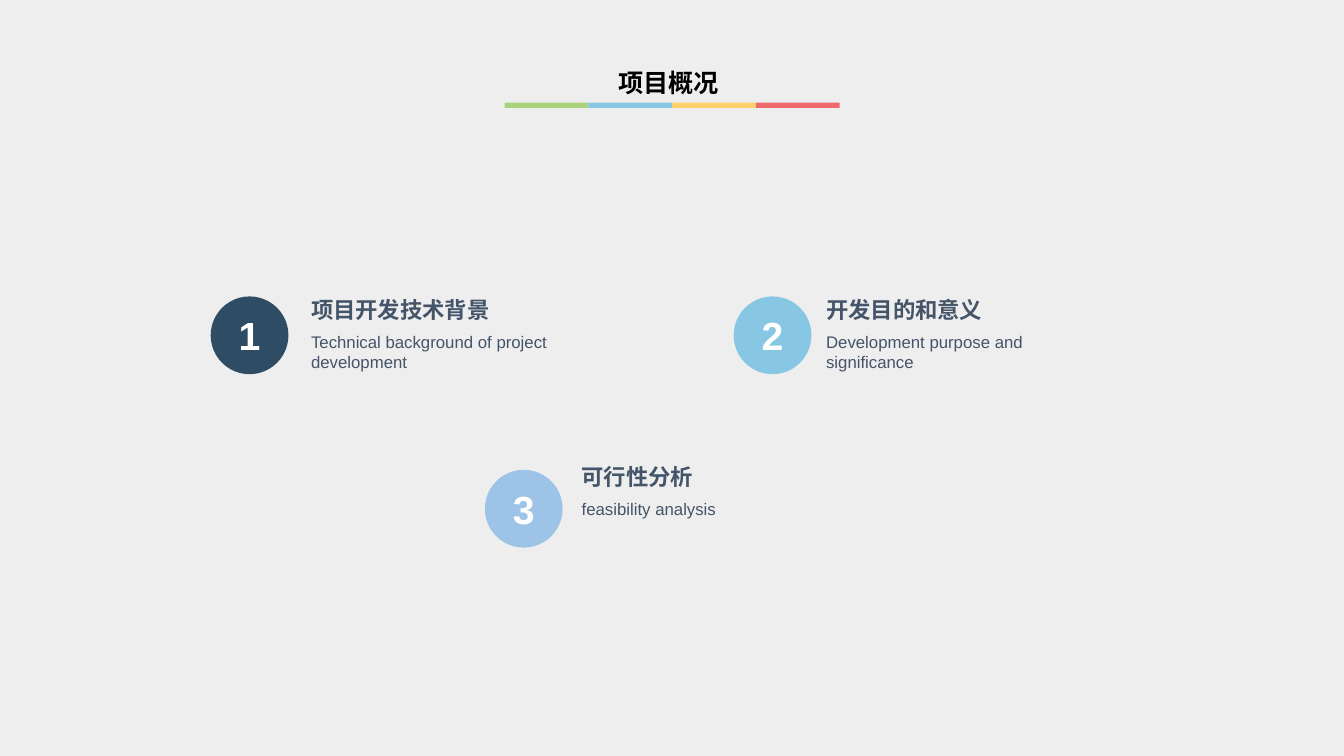
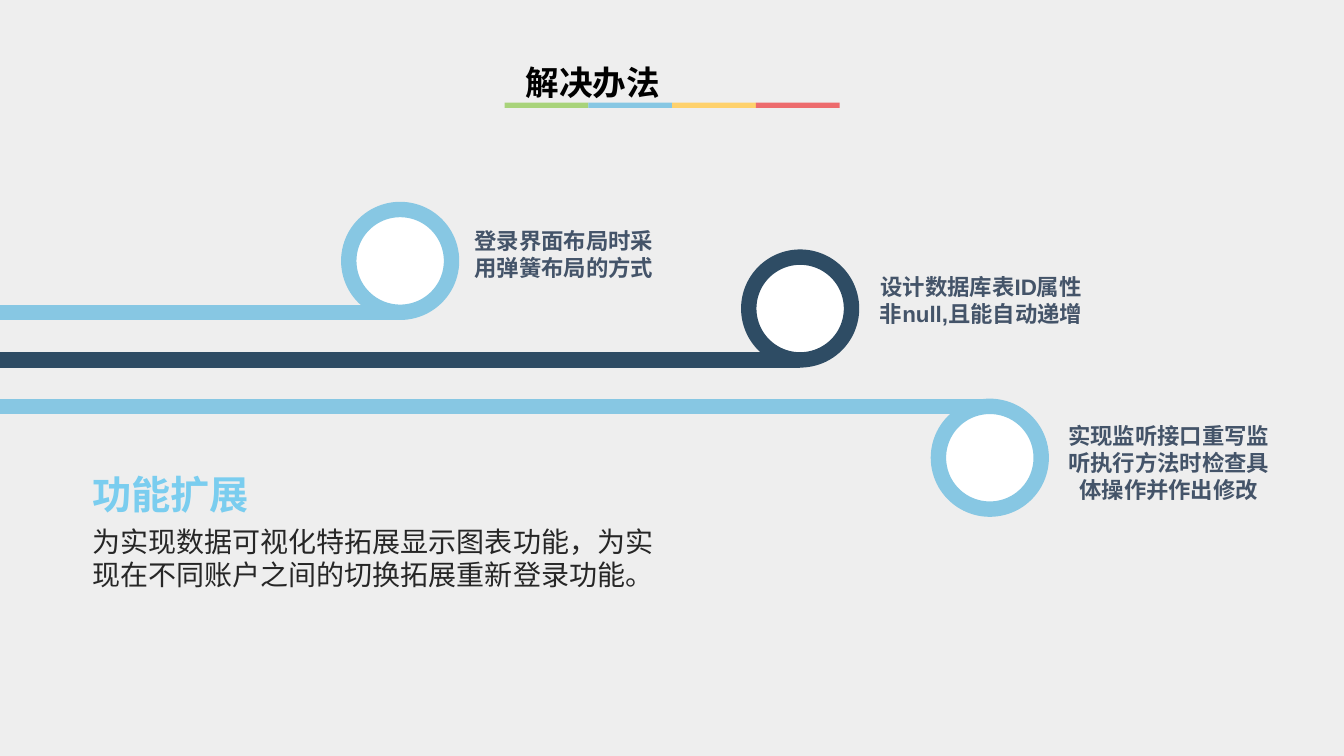
from dataclasses import dataclass

from lxml.etree import SubElement
from pptx import Presentation
from pptx.dml.color import RGBColor
from pptx.enum.shapes import MSO_CONNECTOR, MSO_SHAPE
from pptx.enum.text import MSO_ANCHOR, MSO_AUTO_SIZE, PP_ALIGN
from pptx.oxml.ns import qn
from pptx.util import Cm, Pt


@dataclass(frozen=True)
class Theme:
    background: str = "EEEEEE"
    black: str = "000000"
    white: str = "FFFFFF"
    slate: str = "445469"
    charcoal: str = "262626"
    navy: str = "2E4C64"
    sky: str = "87C7E3"
    pale_blue: str = "9DC3E6"
    bright_blue: str = "7ACDEF"
    bands: tuple = ("A8D37A", "87C7E3", "FED16C", "ED6B6D")
    latin: str = "Arial"
    title_latin: str = "Calibri"
    chinese: str = "Noto Sans CJK SC"
    caption: int = 12
    label: int = 16
    title: int = 18
    body: int = 20
    large_title: int = 24
    number: int = 28
    ring_line: int = 11


THEME = Theme()
NO_INSETS = (0, 0)
TITLE_INSETS = (0.25, 0.13)
WIDE_INSETS = (0.33, 0.18)


def color(value):
    return RGBColor.from_string(value)


def write_text(shape, text, size, text_color, bold=False, font=THEME.latin,
               align=PP_ALIGN.LEFT, anchor=MSO_ANCHOR.TOP, insets=NO_INSETS):
    frame = shape.text_frame
    across, down = map(Cm, insets)
    frame_format = {
        "word_wrap": True, "auto_size": MSO_AUTO_SIZE.NONE,
        "vertical_anchor": anchor, "margin_left": across,
        "margin_right": across, "margin_top": down, "margin_bottom": down,
    }
    for name, value in frame_format.items():
        setattr(frame, name, value)
    paragraph = frame.paragraphs[0]
    paragraph.alignment = align
    run = paragraph.add_run()
    run.text = text
    for name, value in {"name": font, "size": Pt(size), "bold": bold}.items():
        setattr(run.font, name, value)
    run.font.color.rgb = color(text_color)
    properties = run._r.get_or_add_rPr()
    SubElement(properties, qn("a:ea"), typeface=THEME.chinese)


def add_text(slide, box, text, size, text_color, **text_format):
    shape = slide.shapes.add_textbox(*map(Cm, box))
    write_text(shape, text, size, text_color, **text_format)


def add_filled(slide, preset, box, fill):
    shape = slide.shapes.add_shape(preset, *map(Cm, box))
    shape.shadow.inherit = False
    shape.fill.solid()
    shape.fill.fore_color.rgb = color(fill)
    shape.line.fill.background()
    return shape


def add_titled_slide(presentation, title, box, size, font, align):
    """Add a slide with its title over the four-colour band."""
    slide = presentation.slides.add_slide(presentation.slide_layouts[5])
    left, top, width, height = 12.72, 2.59, 2.11, 0.13
    for index, fill in enumerate(THEME.bands):
        add_filled(slide, MSO_SHAPE.RECTANGLE,
                   (left + index * width, top, width, height), fill)
    placeholder = slide.shapes.title
    for name, value in zip(("left", "top", "width", "height"), box):
        setattr(placeholder, name, Cm(value))
    write_text(placeholder, title, size, THEME.black, bold=True, font=font,
               align=align, insets=TITLE_INSETS)
    return slide


def add_numbered_item(slide, number, circle_at, text_at, fill, heading, caption):
    diameter = 1.96
    circle = add_filled(slide, MSO_SHAPE.OVAL,
                        (*circle_at, diameter, diameter), fill)
    write_text(circle, str(number), THEME.number, THEME.white, bold=True,
               align=PP_ALIGN.CENTER, anchor=MSO_ANCHOR.MIDDLE,
               insets=TITLE_INSETS)
    left, top = text_at
    add_text(slide, (left, top, 6.48, 0.68), heading, THEME.label,
             THEME.slate, bold=True)
    add_text(slide, (left, top + 0.89, 6.48, 1.02), caption, THEME.caption,
             THEME.slate)


def add_ring_branch(slide, ring_at, line_color, line_at_top, label_box, label):
    """Add a ring joined to the left slide edge, with its label."""
    diameter = 2.59
    left, top = ring_at
    ring = add_filled(slide, MSO_SHAPE.OVAL,
                      (left, top, diameter, diameter), THEME.white)
    line_y = top if line_at_top else top + diameter
    branch = slide.shapes.add_connector(
        MSO_CONNECTOR.STRAIGHT, Cm(left + diameter / 2), Cm(line_y),
        Cm(0), Cm(line_y))
    SubElement(branch._element.spPr, qn("a:effectLst"))
    for shape in (ring, branch):
        shape.line.color.rgb = color(line_color)
        shape.line.width = Pt(THEME.ring_line)
    add_text(slide, label_box, label, THEME.label, THEME.slate, bold=True,
             align=PP_ALIGN.CENTER)


def build_overview(presentation):
    slide = add_titled_slide(presentation, "项目概况", (13.28, 1.57, 7.14, 1.02),
                             THEME.title, THEME.chinese, PP_ALIGN.CENTER)
    items = (
        ((5.31, 7.47), (7.84, 7.47), THEME.navy, "项目开发技术背景",
         "Technical background of project development"),
        ((18.49, 7.47), (20.82, 7.47), THEME.sky, "开发目的和意义",
         "Development purpose and significance"),
        ((12.22, 11.84), (14.66, 11.68), THEME.pale_blue, "可行性分析",
         "feasibility analysis"),
    )
    for number, item in enumerate(items, start=1):
        add_numbered_item(slide, number, *item)


def build_solutions(presentation):
    slide = add_titled_slide(presentation, "解决办法", (13, 1.42, 7.14, 1.27),
                             THEME.large_title, THEME.title_latin,
                             PP_ALIGN.JUSTIFY)
    branches = (
        ((8.79, 5.28), THEME.sky, False, (11.84, 5.72, 4.75, 1.37),
         "登录界面布局时采用弹簧布局的方式"),
        ((18.87, 6.48), THEME.navy, False, (22.02, 6.88, 5.41, 1.37),
         "设计数据库表ID属性非null,且能自动递增"),
        ((23.65, 10.24), THEME.sky, True, (26.75, 10.64, 5.41, 2.06),
         "实现监听接口重写监听执行方法时检查具体操作并作出修改"),
    )
    for branch in branches:
        add_ring_branch(slide, *branch)
    add_text(slide, (2, 11.68, 12.4, 1.4), "功能扩展", THEME.number,
             THEME.bright_blue, bold=True, font=THEME.chinese,
             insets=WIDE_INSETS)
    add_text(slide, (2, 13.03, 15.34, 2.06),
             "为实现数据可视化特拓展显示图表功能，为实现在不同账户之间的切换拓展重新登录功能。",
             THEME.body, THEME.charcoal, font=THEME.chinese,
             insets=WIDE_INSETS)


def main():
    presentation = Presentation()
    presentation.slide_width, presentation.slide_height = Cm(33.87), Cm(19.05)
    background = presentation.slide_master.background.fill
    background.solid()
    background.fore_color.rgb = color(THEME.background)
    build_overview(presentation)
    build_solutions(presentation)
    presentation.save("out.pptx")


if __name__ == "__main__":
    main()
